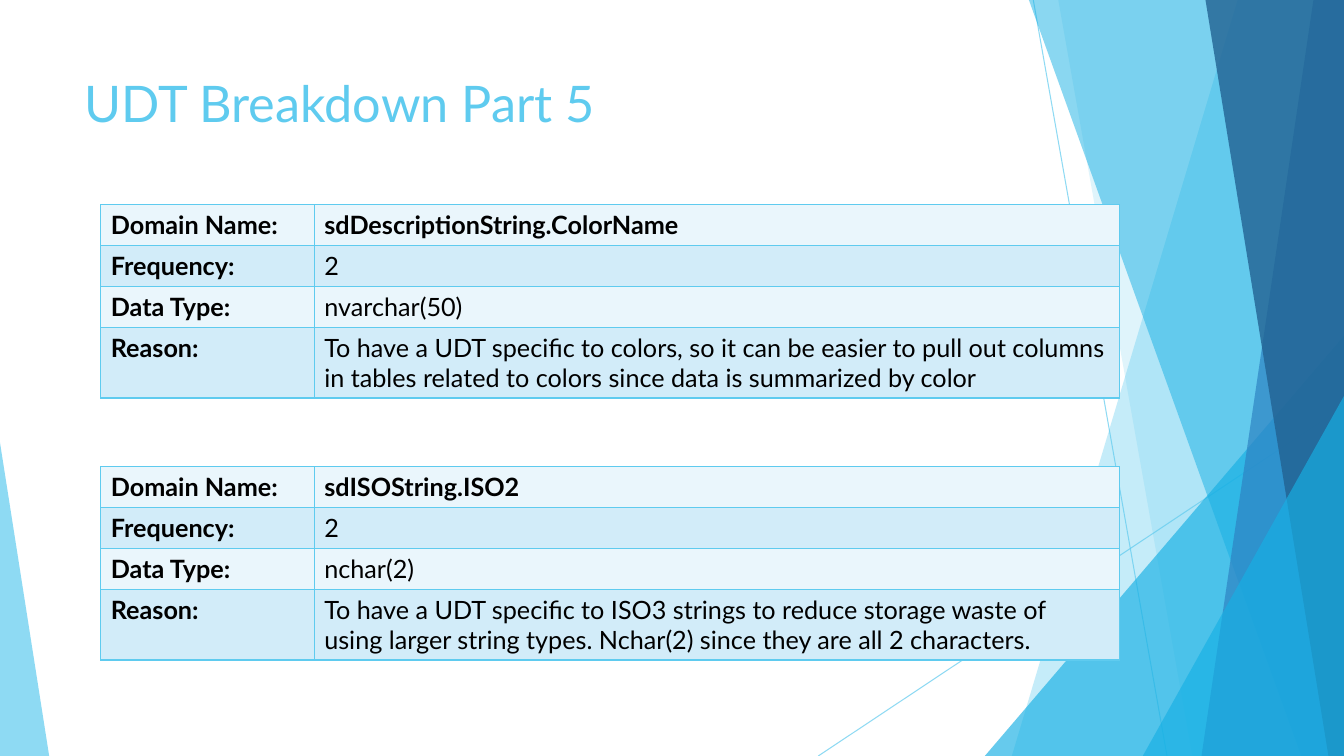
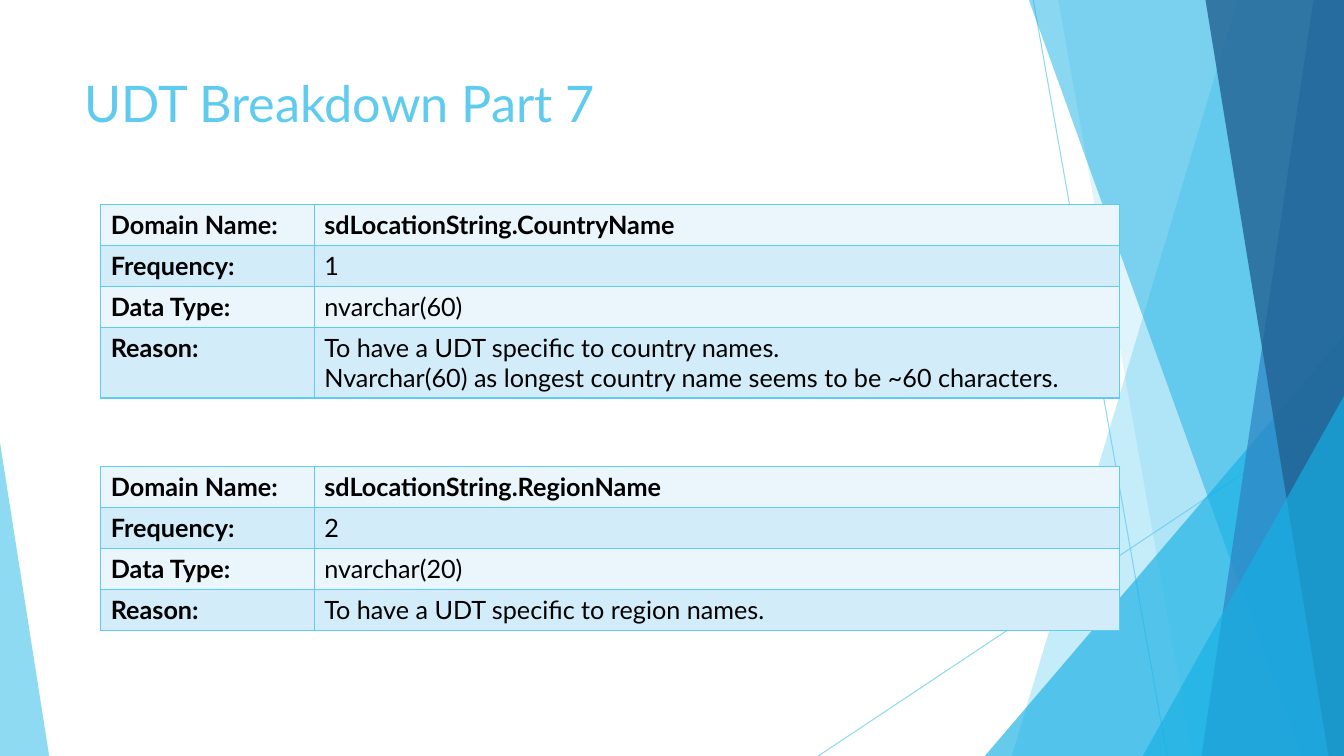
from lxml import etree
from pptx import Presentation
from pptx.dml.color import RGBColor
from pptx.enum.shapes import MSO_CONNECTOR, MSO_SHAPE
from pptx.enum.text import MSO_ANCHOR
from pptx.oxml.ns import qn
from pptx.util import Cm, Pt

STRAIGHT = MSO_CONNECTOR.STRAIGHT
TRIANGLE = MSO_SHAPE.ISOSCELES_TRIANGLE
TOP = MSO_ANCHOR.TOP

FONT = "Lato"
SKY = "5FCBEF"
CYAN = "17B0E4"
BLUE = "2E83C3"
NAVY = "226292"
BLACK = "000000"
ROW_FILLS = ("EAF6FC", "D2ECF9")

SLIDE_WIDTH, SLIDE_HEIGHT = 33.87, 19.05
TABLE_LEFT = 2.54
TABLE_TOPS = (5.16, 11.76)
COLUMN_WIDTHS = (5.38, 20.3)
ROW_HEIGHT = 1.03
ROW_LABELS = ("Domain Name:", "Frequency:", "Data Type:", "Reason:")

SLIDES = (
    ("UDT Breakdown Part 5", (
        ("sdDescriptionString.ColorName", "2", "nvarchar(50)",
         "To have a UDT specific to colors, so it can be easier to pull out columns "
         "in tables related to colors since data is summarized by color"),
        ("sdISOString.ISO2", "2", "nchar(2)",
         "To have a UDT specific to ISO3 strings to reduce storage waste of "
         "using larger string types. Nchar(2) since they are all 2 characters."),
    )),
    ("UDT Breakdown Part 7", (
        ("sdLocationString.CountryName", "1", "nvarchar(60)",
         "To have a UDT specific to country names.\v"
         "Nvarchar(60) as longest country name seems to be ~60 characters."),
        ("sdLocationString.RegionName", "2", "nvarchar(20)",
         "To have a UDT specific to region names."),
    )),
)


def rgb(color):
    return RGBColor.from_string(color)


def set_opacity(shape, percent):
    for color in shape.element.iter(qn("a:srgbClr")):
        etree.SubElement(color, qn("a:alpha"), val=str(percent * 1000))


def paint(shape, color, opacity):
    shape.shadow.inherit = False
    shape.fill.solid()
    shape.fill.fore_color.rgb = rgb(color)
    shape.line.fill.background()
    set_opacity(shape, opacity)


def add_thin_line(shapes, *ends):
    line = shapes.add_connector(STRAIGHT, *(Cm(value) for value in ends))
    line.line.color.rgb = rgb(SKY)
    line.line.width = Pt(0.75)
    set_opacity(line, 70)
    etree.SubElement(line.element.spPr, qn("a:effectLst"))


def add_band(shapes, top_x, bottom_x, color, opacity):
    """Fill from a slanted left side to the right edge of the slide."""
    builder = shapes.build_freeform(Cm(top_x), 0)
    right, bottom = Cm(SLIDE_WIDTH), Cm(SLIDE_HEIGHT)
    builder.add_line_segments([(right, 0), (right, bottom), (Cm(bottom_x), bottom)])
    paint(builder.convert_to_shape(), color, opacity)


def add_corner(shapes, left, top, width, apex, color, opacity):
    """Add a triangle that stands on the bottom edge of the slide."""
    corner = shapes.add_shape(TRIANGLE, Cm(left), Cm(top), Cm(width), Cm(SLIDE_HEIGHT - top))
    corner.adjustments[0] = apex
    paint(corner, color, opacity)


def add_backdrop(slide):
    shapes = slide.shapes.add_group_shape().shapes
    add_thin_line(shapes, 26.04, 0, 29.41, SLIDE_HEIGHT)
    add_thin_line(shapes, SLIDE_WIDTH, 10.24, 20.62, SLIDE_HEIGHT)
    add_band(shapes, 31.19, 25.5, SKY, 36)
    add_band(shapes, 26.67, 30.05, SKY, 20)
    add_corner(shapes, 24.82, 8.46, SLIDE_WIDTH - 24.82, 1, CYAN, 66)
    add_band(shapes, 25.93, 32.79, CYAN, 50)
    add_band(shapes, 33.1, 30.28, BLUE, 70)
    add_band(shapes, 30.38, 33.48, NAVY, 80)
    add_corner(shapes, 28.8, 9.98, SLIDE_WIDTH - 28.8, 1, CYAN, 66)
    add_corner(shapes, 0, 11.15, 1.24, 0, SKY, 70)


def write(text_frame, text, size, color, bold=False):
    text_frame.text = text
    for paragraph in text_frame.paragraphs:
        for run in paragraph.runs:
            run.font.name = FONT
            run.font.size = Pt(size)
            run.font.bold = bold
            run.font.color.rgb = rgb(color)


def add_title(slide, text):
    title = slide.shapes.add_textbox(Cm(1.88), Cm(1.7), Cm(23.88), Cm(3.12))
    title.text_frame.word_wrap = True
    title.text_frame.vertical_anchor = TOP
    write(title.text_frame, text, 36, SKY)


def add_borders(cell):
    properties = cell._tc.get_or_add_tcPr()
    for side in ("a:lnL", "a:lnR", "a:lnT", "a:lnB"):
        border = etree.SubElement(properties, qn(side), w=str(Pt(1)))
        fill = etree.SubElement(border, qn("a:solidFill"))
        etree.SubElement(fill, qn("a:srgbClr"), val=SKY)


def add_domain_table(slide, top, values):
    rows = list(zip(ROW_LABELS, values))
    table = slide.shapes.add_table(
        len(rows), len(COLUMN_WIDTHS), Cm(TABLE_LEFT), Cm(top),
        Cm(sum(COLUMN_WIDTHS)), Cm(ROW_HEIGHT * len(rows))).table
    table.first_row = table.horz_banding = False
    for column, width in zip(table.columns, COLUMN_WIDTHS):
        column.width = Cm(width)
    for row_index, row in enumerate(rows):
        for column_index, text in enumerate(row):
            cell = table.cell(row_index, column_index)
            add_borders(cell)
            cell.fill.solid()
            cell.fill.fore_color.rgb = rgb(ROW_FILLS[row_index % 2])
            is_heading = row_index == 0 or column_index == 0
            write(cell.text_frame, text, 18, BLACK, is_heading)


def main():
    presentation = Presentation()
    presentation.slide_width = Cm(SLIDE_WIDTH)
    presentation.slide_height = Cm(SLIDE_HEIGHT)
    blank_layout = presentation.slide_layouts[6]
    for title, domains in SLIDES:
        slide = presentation.slides.add_slide(blank_layout)
        add_backdrop(slide)
        add_title(slide, title)
        for top, values in zip(TABLE_TOPS, domains):
            add_domain_table(slide, top, values)
    presentation.save("out.pptx")


if __name__ == "__main__":
    main()
